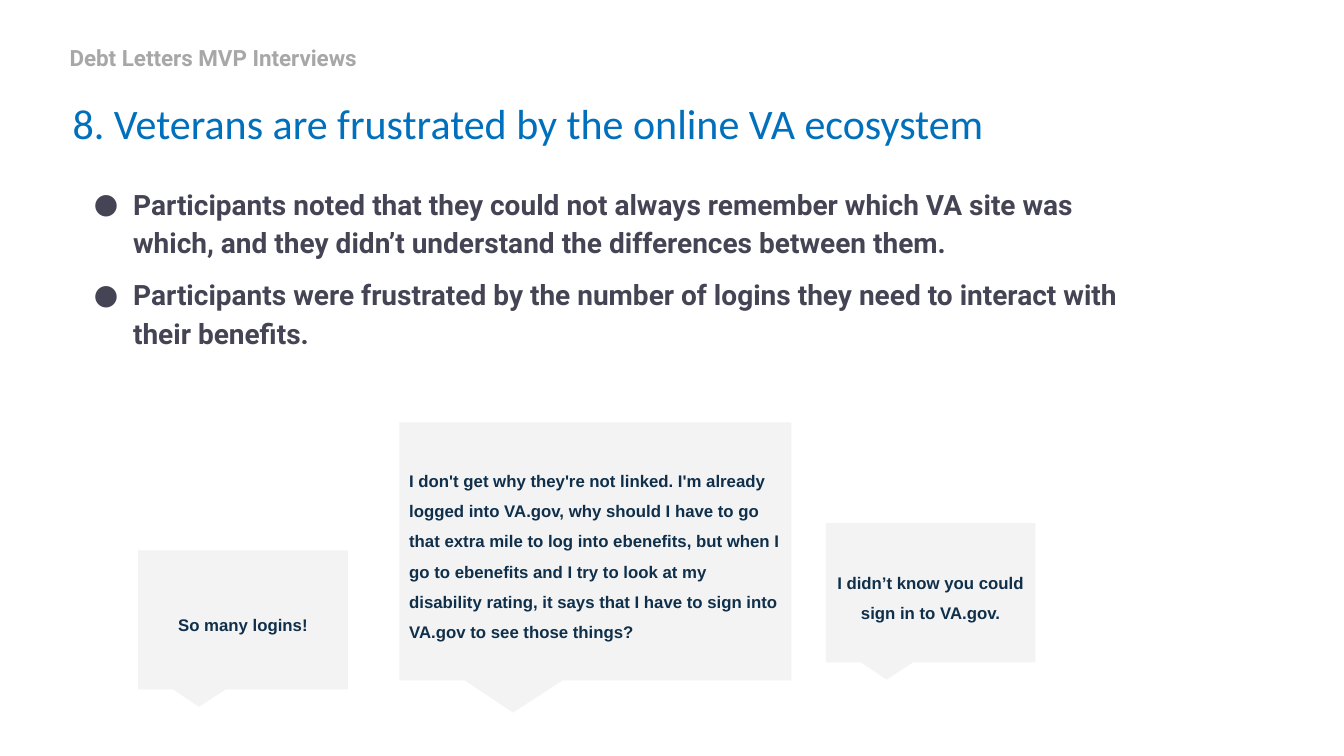
from pptx import Presentation
from pptx.util import Pt
from pptx.dml.color import RGBColor
from pptx.enum.shapes import MSO_SHAPE
from pptx.enum.text import MSO_ANCHOR, MSO_AUTO_SIZE, PP_ALIGN
from lxml import etree

PX = 9144
NS = "http://schemas.openxmlformats.org/drawingml/2006/main"
CALLOUT = MSO_SHAPE.ROUNDED_RECTANGULAR_CALLOUT
TOP, MIDDLE = MSO_ANCHOR.TOP, MSO_ANCHOR.MIDDLE
LEFT, CENTER = PP_ALIGN.LEFT, PP_ALIGN.CENTER
COLORS = {
    "title": "0070BC",
    "kicker": "A7A7A7",
    "body": "454454",
    "bubble": "F3F3F3",
    "quote": "0F2F4A",
}


def place(sp, x, y, w, h):
    sp.left, sp.top, sp.width, sp.height = [v * PX for v in (x, y, w, h)]


def write(sp, lines, size, font, color, bold, spacing, anchor=TOP, align=LEFT, inset=10):
    tf = sp.text_frame
    tf.text = "\n".join(lines)
    tf.word_wrap = True
    tf.auto_size = MSO_AUTO_SIZE.NONE
    tf.vertical_anchor = anchor
    tf.margin_left = tf.margin_right = tf.margin_top = tf.margin_bottom = inset * PX
    for p in tf.paragraphs:
        p.alignment = align
        p.line_spacing = spacing
        p.space_before = Pt(0)
        for r in p.runs:
            r.font.size = Pt(size)
            r.font.name = font
            r.font.bold = bold
            r.font.color.rgb = RGBColor.from_string(COLORS[color])


prs = Presentation()
prs.slide_width, prs.slide_height = 1333 * PX, 750 * PX
s = prs.slides.add_slide(prs.slide_layouts[1])

title = s.shapes.title
place(title, 67, 92, 1100, 135)
write(title, ["8. Veterans are frustrated by the online VA ecosystem"],
      30, "Calibri", "title", False, 1.0, inset=5)

kicker = s.shapes.add_textbox(64 * PX, 35 * PX, 748 * PX, 39 * PX)
write(kicker, ["Debt Letters MVP Interviews"],
      16, "Roboto", "kicker", True, 1.2, MIDDLE, inset=5)

body = s.placeholders[1]
place(body, 72, 171, 1059, 478)
findings = [
    "Participants noted that they could not always remember which VA site was which, "
    "and they didn’t understand the differences between them.",
    "Participants were frustrated by the number of logins they need to interact with "
    "their benefits.",
]
write(body, findings, 20, "Roboto", "body", True, 1.14)
for i, p in enumerate(body.text_frame.paragraphs):
    p.space_before = Pt(10 * i)
    pPr = p._p.get_or_add_pPr()
    pPr.set("marL", str(50 * PX))
    pPr.set("indent", str(-39 * PX))
    buClr = etree.SubElement(pPr, f"{{{NS}}}buClr")
    etree.SubElement(buClr, f"{{{NS}}}srgbClr", val=COLORS["body"])
    etree.SubElement(pPr, f"{{{NS}}}buFont", typeface="Roboto")
    etree.SubElement(pPr, f"{{{NS}}}buChar", char="●")

quotes = [
    (137, 546, 208, 138, CENTER, "So many logins!"),
    (396, 419, 389, 256, LEFT,
     "I don't get why they're not linked. I'm already logged into VA.gov, why should I "
     "have to go that extra mile to log into ebenefits, but when I go to ebenefits and "
     "I try to look at my disability rating, it says that I have to sign into VA.gov "
     "to see those things?"),
    (819, 519, 208, 138, CENTER, "I didn’t know you could sign in to VA.gov."),
]
for x, y, w, h, align, quote in quotes:
    sp = s.shapes.add_shape(CALLOUT, x * PX, y * PX, w * PX, h * PX)
    for i, value in enumerate((-0.21, 0.625, 0)):
        sp.adjustments[i] = value
    sp.shadow.inherit = False
    sp.fill.solid()
    sp.fill.fore_color.rgb = RGBColor.from_string(COLORS["bubble"])
    sp.line.fill.background()
    write(sp, [quote], 12, "Arial", "quote", True, 1.5, MIDDLE, align)

prs.save("out.pptx")
